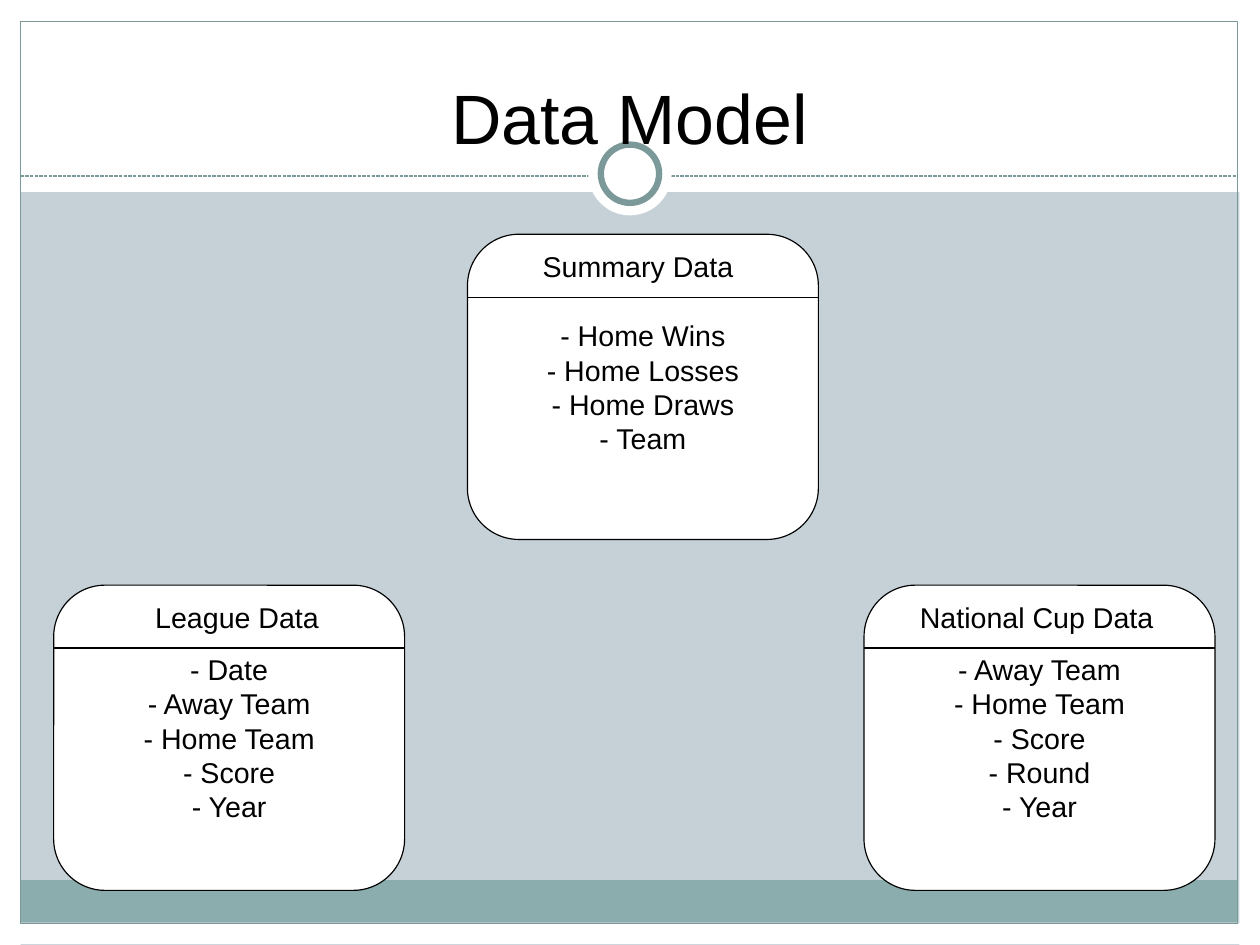
import pptx
import pptx.util
import pptx.dml.color
import pptx.enum.dml
import pptx.enum.shapes
import pptx.enum.text
import pptx.oxml

Inches = pptx.util.Inches
Pt = pptx.util.Pt
SHAPES = pptx.enum.shapes.MSO_SHAPE
ALIGN = pptx.enum.text.PP_ALIGN
ANCHOR = pptx.enum.text.MSO_ANCHOR

CM_PER_INCH = 2.54
WIDTH, HEIGHT = 28 / CM_PER_INCH, 21 / CM_PER_INCH
COLORS = {"background": "C5D1D7", "white": "FFFFFF", "band": "8CADAE",
          "frame": "7C999A", "black": "000000"}
FONT = "Arial"
TITLE = "Data Model"

ENTITIES = [
    {"name": "Summary Data", "left": 4.09, "top": 2.05, "name_left": 4.65, "name_width": 2.44,
     "fields": ["Home Wins", "Home Losses", "Home Draws", "Team"]},
    {"name": "League Data", "left": 0.47, "top": 5.12, "name_left": 1.26, "name_width": 1.73,
     "fields": ["Date", "Away Team", "Home Team", "Score", "Year"]},
    {"name": "National Cup Data", "left": 7.56, "top": 5.12, "name_left": 7.95, "name_width": 2.44,
     "fields": ["Away Team", "Home Team", "Score", "Round", "Year"]},
]
CARD_WIDTH, CARD_HEIGHT, CORNER = 3.07, 2.67, 0.45
NAME_OFFSET, NAME_HEIGHT, DIVIDER_OFFSET = 0.08, 0.38, 0.55

MARGIN = 0.18
INNER_WIDTH = 10.65
FRAME_TOP, FRAME_HEIGHT = 0.19, 7.89
BOTTOM = FRAME_TOP + FRAME_HEIGHT
RULE_TOP = 1.54
BAND_TOP, BAND_HEIGHT = 7.7, 0.37
MARGINS = [
    (0, BOTTOM, WIDTH, MARGIN),
    (0, 0, WIDTH, 1.68),
    (0, 0, MARGIN, HEIGHT),
    (WIDTH - MARGIN, 0, MARGIN, HEIGHT),
]
RING_CENTER_Y = 1.52
RINGS = [(0.73, None, 0), (0.51, "frame", 4)]


def color(name):
    return pptx.dml.color.RGBColor.from_string(COLORS[name])


def add_shape(kind, box, fill=None, line=None, weight=0.75):
    shape = slide.shapes.add_shape(kind, *map(Inches, box))
    shape.shadow.inherit = False
    if fill:
        shape.fill.solid()
        shape.fill.fore_color.rgb = color(fill)
    else:
        shape.fill.background()
    if line:
        shape.line.color.rgb = color(line)
        shape.line.width = Pt(weight)
    else:
        shape.line.fill.background()
    return shape


def add_rule(left, top, width, line):
    rule = slide.shapes.add_connector(
        pptx.enum.shapes.MSO_CONNECTOR.STRAIGHT,
        Inches(left), Inches(top), Inches(left + width), Inches(top))
    rule.line.color.rgb = color(line)
    rule.line.width = Pt(0.75)
    properties = rule._element.spPr
    properties.append(pptx.oxml.parse_xml(
        '<a:effectLst xmlns:a="http://schemas.openxmlformats.org/drawingml/2006/main"/>'))
    return rule


def write(shape, text, size, align, anchor, wrap=True):
    frame = shape.text_frame
    frame.text = text
    frame.word_wrap = wrap
    frame.vertical_anchor = anchor
    for paragraph in frame.paragraphs:
        paragraph.alignment = align
        for run in paragraph.runs:
            run.font.name = FONT
            run.font.size = Pt(size)
            run.font.color.rgb = color("black")
    return frame


def add_text(box, text, size, align, anchor):
    return write(slide.shapes.add_textbox(*map(Inches, box)), text, size, align, anchor)


presentation = pptx.Presentation()
presentation.slide_width = Inches(WIDTH)
presentation.slide_height = Inches(HEIGHT)
slide = presentation.slides.add_slide(presentation.slide_layouts[6])
slide.background.fill.solid()
slide.background.fill.fore_color.rgb = color("background")

for box in MARGINS:
    add_shape(SHAPES.RECTANGLE, box, "white")
add_shape(SHAPES.RECTANGLE, (MARGIN, BAND_TOP, INNER_WIDTH, BAND_HEIGHT), "band")
add_shape(SHAPES.RECTANGLE, (MARGIN, FRAME_TOP, INNER_WIDTH, FRAME_HEIGHT), line="frame")

title_rule = add_rule(MARGIN, RULE_TOP, INNER_WIDTH, "frame")
title_rule.line.dash_style = pptx.enum.dml.MSO_LINE.SQUARE_DOT
for size, line, weight in RINGS:
    ring = ((WIDTH - size) / 2, RING_CENTER_Y - size / 2, size, size)
    add_shape(SHAPES.OVAL, ring, "white", line, weight)

title = add_text((0.55, 0.33, 9.92, 1.38), TITLE, 44, ALIGN.CENTER, ANCHOR.MIDDLE)
title.margin_left = title.margin_right = title.margin_top = title.margin_bottom = 0

for entity in ENTITIES:
    left, top = entity["left"], entity["top"]
    card = add_shape(SHAPES.ROUNDED_RECTANGLE, (left, top, CARD_WIDTH, CARD_HEIGHT), "white", "black")
    card.adjustments[0] = CORNER / CARD_HEIGHT
    fields = "\n".join("- " + field for field in entity["fields"])
    write(card, fields, 18, ALIGN.CENTER, ANCHOR.MIDDLE, wrap=False)
    add_rule(left, top + DIVIDER_OFFSET, CARD_WIDTH, "black")

for entity in ENTITIES:
    name_box = (entity["name_left"], entity["top"] + NAME_OFFSET, entity["name_width"], NAME_HEIGHT)
    add_text(name_box, entity["name"], 18, ALIGN.LEFT, ANCHOR.TOP)

presentation.save("out.pptx")
